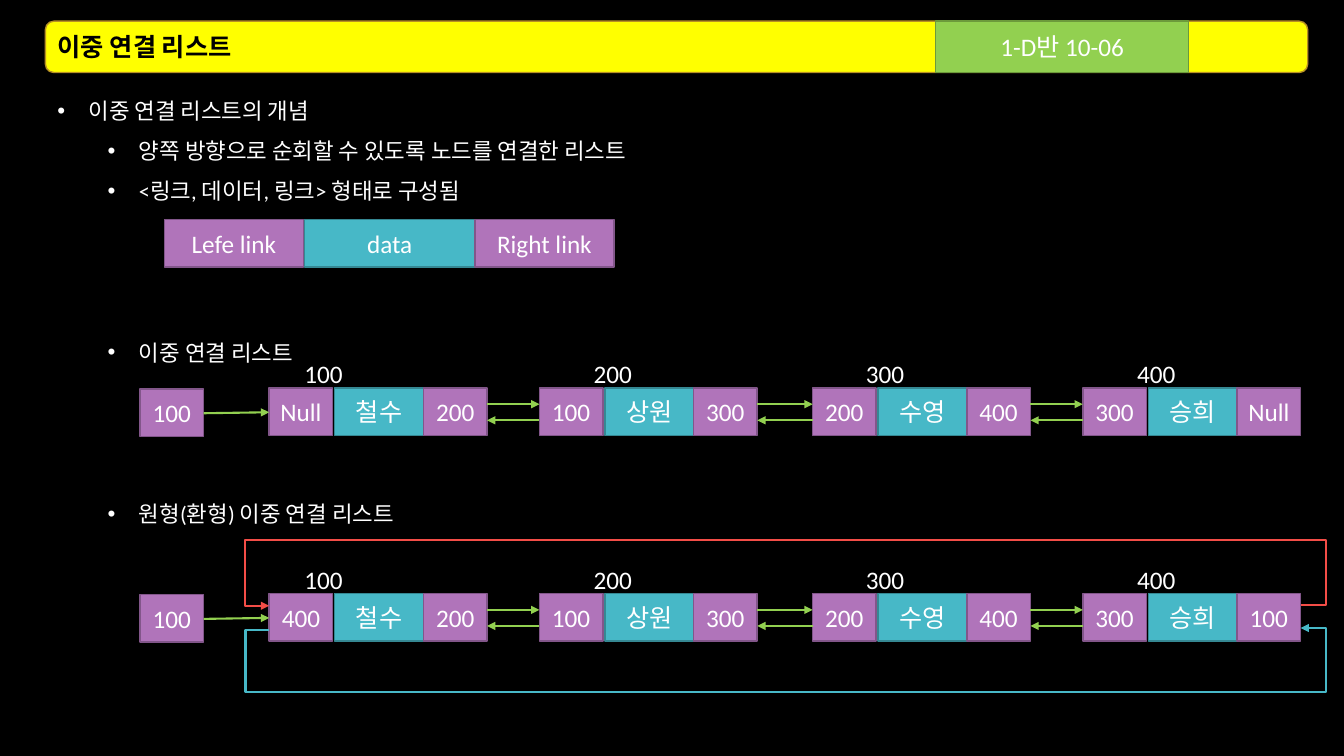
from dataclasses import dataclass

from lxml import etree
from pptx import Presentation
from pptx.dml.color import RGBColor
from pptx.enum.shapes import MSO_CONNECTOR, MSO_SHAPE
from pptx.enum.text import MSO_ANCHOR, MSO_AUTO_SIZE, PP_ALIGN
from pptx.oxml.ns import qn
from pptx.util import Inches, Pt

STRAIGHT, ELBOW = MSO_CONNECTOR.STRAIGHT, MSO_CONNECTOR.ELBOW
RECT, ROUNDED = MSO_SHAPE.RECTANGLE, MSO_SHAPE.ROUNDED_RECTANGLE
TOP, MIDDLE = MSO_ANCHOR.TOP, MSO_ANCHOR.MIDDLE
LEFT, CENTER = PP_ALIGN.LEFT, PP_ALIGN.CENTER


@dataclass(frozen=True)
class Theme:
    font: str = "Calibri"
    body: int = 16
    label: int = 18
    black: str = "000000"
    white: str = "FFFFFF"
    title: tuple = ("FFFF00", "B79024")
    badge: tuple = ("92D050", "6C9A3B")
    link: tuple = ("B074BA", "82568A")
    data: tuple = ("47B8C7", "358893")
    arrow: str = "92D050"
    forward: str = "F34D47"
    backward: str = "47B8C7"


@dataclass(frozen=True)
class Node:
    address: str
    name: str
    x: float
    label_x: float


@dataclass(frozen=True)
class Bullet:
    text: str
    level: int = 1
    before: float = 0


THEME = Theme()
CELL_H = 0.47
LINK_W, DATA_W = 0.63, 0.88
DATA_DX, RIGHT_DX = 0.65, 1.53
NODE_W = RIGHT_DX + LINK_W
HEAD_X = 1.39
SECTION_GAP = 86.4

NODES = [
    Node("100", "철수", 2.67, 2.92),
    Node("200", "상원", 5.35, 5.79),
    Node("300", "수영", 8.06, 8.49),
    Node("400", "승희", 10.74, 11.18),
]
BULLETS = [
    Bullet("이중 연결 리스트의 개념", level=0),
    Bullet("양쪽 방향으로 순회할 수 있도록 노드를 연결한 리스트"),
    Bullet("<링크, 데이터, 링크> 형태로 구성됨"),
    Bullet("이중 연결 리스트", before=SECTION_GAP),
    Bullet("원형(환형) 이중 연결 리스트", before=SECTION_GAP),
]


def add_text(p, text: str, *, size: int = THEME.label, color: str = THEME.white,
             bold: bool = False, align=LEFT) -> None:
    p.alignment = align
    r = p.add_run()
    r.text = text
    r.font.name = THEME.font
    r.font.size = Pt(size)
    r.font.bold = bold
    r.font.color.rgb = RGBColor.from_string(color)


def add_box(slide, x: float, y: float, w: float, h: float, colors: tuple,
            kind=RECT, anchor=MIDDLE):
    s = slide.shapes.add_shape(kind, Inches(x), Inches(y), Inches(w), Inches(h))
    fill, line = colors
    s.shadow.inherit = False
    s.fill.solid()
    s.fill.fore_color.rgb = RGBColor.from_string(fill)
    s.line.color.rgb = RGBColor.from_string(line)
    s.line.width = Pt(1)
    s.text_frame.word_wrap = True
    s.text_frame.vertical_anchor = anchor
    return s.text_frame.paragraphs[0]


def add_cell(slide, text: str, x: float, y: float, w: float, colors: tuple,
             h: float = CELL_H) -> None:
    add_text(add_box(slide, x, y, w, h, colors), text, align=CENTER)


def add_arrow(slide, start: tuple, end: tuple, color: str, kind=STRAIGHT):
    c = slide.shapes.add_connector(kind, *(Inches(v) for v in (*start, *end)))
    c.line.color.rgb = RGBColor.from_string(color)
    c.line.width = Pt(1.5)
    sp_pr = c._element.spPr
    etree.SubElement(sp_pr.find(qn("a:ln")), qn("a:tailEnd"), type="triangle")
    etree.SubElement(sp_pr, qn("a:effectLst"))
    return sp_pr


def add_loop(slide, start: tuple, end: tuple, exit_x: float, rail_y: float,
             entry_x: float, color: str) -> None:
    sp_pr = add_arrow(slide, start, end, color, ELBOW)
    xfrm = sp_pr.find(qn("a:xfrm"))
    if xfrm.attrib.pop("flipV", None):
        xfrm.set("rot", "10800000")
        xfrm.set("flipH", "1")
    geom = sp_pr.find(qn("a:prstGeom"))
    geom.set("prst", "bentConnector5")
    guides = geom.find(qn("a:avLst"))
    w, h = end[0] - start[0], end[1] - start[1]
    ratios = ((exit_x - start[0]) / w, (rail_y - start[1]) / h, (entry_x - start[0]) / w)
    for i, ratio in enumerate(ratios, 1):
        etree.SubElement(guides, qn("a:gd"), name=f"adj{i}", fmla=f"val {round(ratio * 100000)}")


def add_bullets(slide) -> None:
    p = add_box(slide, 0.47, 0.78, 12.48, 6.46, (THEME.black, THEME.black), anchor=TOP)
    tf = slide.shapes[-1].text_frame
    for i, bullet in enumerate(BULLETS):
        p = tf.add_paragraph() if i else p
        p.level = bullet.level
        p.line_spacing = 1.5
        p.space_before = Pt(bullet.before)
        add_text(p, bullet.text, size=THEME.body)
        p_pr = p._p.get_or_add_pPr()
        p_pr.set("marL", str(Inches(0.31 + 0.5 * bullet.level)))
        p_pr.set("indent", str(-Inches(0.31)))
        etree.SubElement(p_pr, qn("a:buFont"), typeface="Arial")
        etree.SubElement(p_pr, qn("a:buChar"), char="•")


def add_label(slide, text: str, x: float, y: float) -> None:
    s = slide.shapes.add_textbox(Inches(x), Inches(y), Inches(0.79), Inches(0.4))
    s.text_frame.word_wrap = True
    s.text_frame.auto_size = MSO_AUTO_SIZE.SHAPE_TO_FIT_TEXT
    add_text(s.text_frame.paragraphs[0], text)


def add_list(slide, y: float, circular: bool) -> None:
    addresses = [node.address for node in NODES]
    before_first = addresses[-1] if circular else "Null"
    after_last = addresses[0] if circular else "Null"
    previous = [before_first, *addresses[:-1]]
    following = [*addresses[1:], after_last]
    for node, prev_link, next_link in zip(NODES, previous, following):
        add_cell(slide, node.name, node.x + DATA_DX, y, DATA_W, THEME.data)
        add_cell(slide, next_link, node.x + RIGHT_DX, y, LINK_W, THEME.link)
        add_cell(slide, prev_link, node.x, y, LINK_W, THEME.link)
        add_label(slide, node.address, node.label_x, y - 0.34)
    for node, successor in zip(NODES, NODES[1:]):
        right = node.x + NODE_W
        add_arrow(slide, (right, y + 0.16), (successor.x, y + 0.16), THEME.arrow)
        add_arrow(slide, (successor.x, y + 0.32), (right, y + 0.32), THEME.arrow)
    add_cell(slide, addresses[0], HEAD_X, y + 0.01, LINK_W, THEME.link)
    add_arrow(slide, (HEAD_X + LINK_W, y + 0.25), (NODES[0].x, y + 0.24), THEME.arrow)


def main() -> None:
    prs = Presentation()
    prs.slide_width, prs.slide_height = Inches(13.33), Inches(7.5)
    slide = prs.slides.add_slide(prs.slide_layouts[6])
    slide.background.fill.solid()
    slide.background.fill.fore_color.rgb = RGBColor.from_string(THEME.black)

    add_bullets(slide)
    title = add_box(slide, 0.45, 0.21, 12.52, 0.51, THEME.title, ROUNDED)
    add_text(title, "이중 연결 리스트", color=THEME.black, bold=True)
    add_cell(slide, "1-D반 10-06", 9.28, 0.21, 2.51, THEME.badge, h=0.51)

    add_cell(slide, "data", 3.02, 2.18, 1.69, THEME.data)
    add_cell(slide, "Right link", 4.71, 2.18, 1.38, THEME.link)
    add_cell(slide, "Lefe link", 1.63, 2.18, 1.38, THEME.link)

    add_list(slide, 3.85, circular=False)
    add_list(slide, 5.89, circular=True)
    first_x, last_x = NODES[0].x, NODES[-1].x + NODE_W
    add_loop(slide, (last_x, 6), (first_x, 6.01), 13.16, 5.35, 2.43, THEME.forward)
    add_loop(slide, (first_x, 6.25), (last_x, 6.23), 2.43, 6.86, 13.16, THEME.backward)
    prs.save("out.pptx")


if __name__ == "__main__":
    main()
